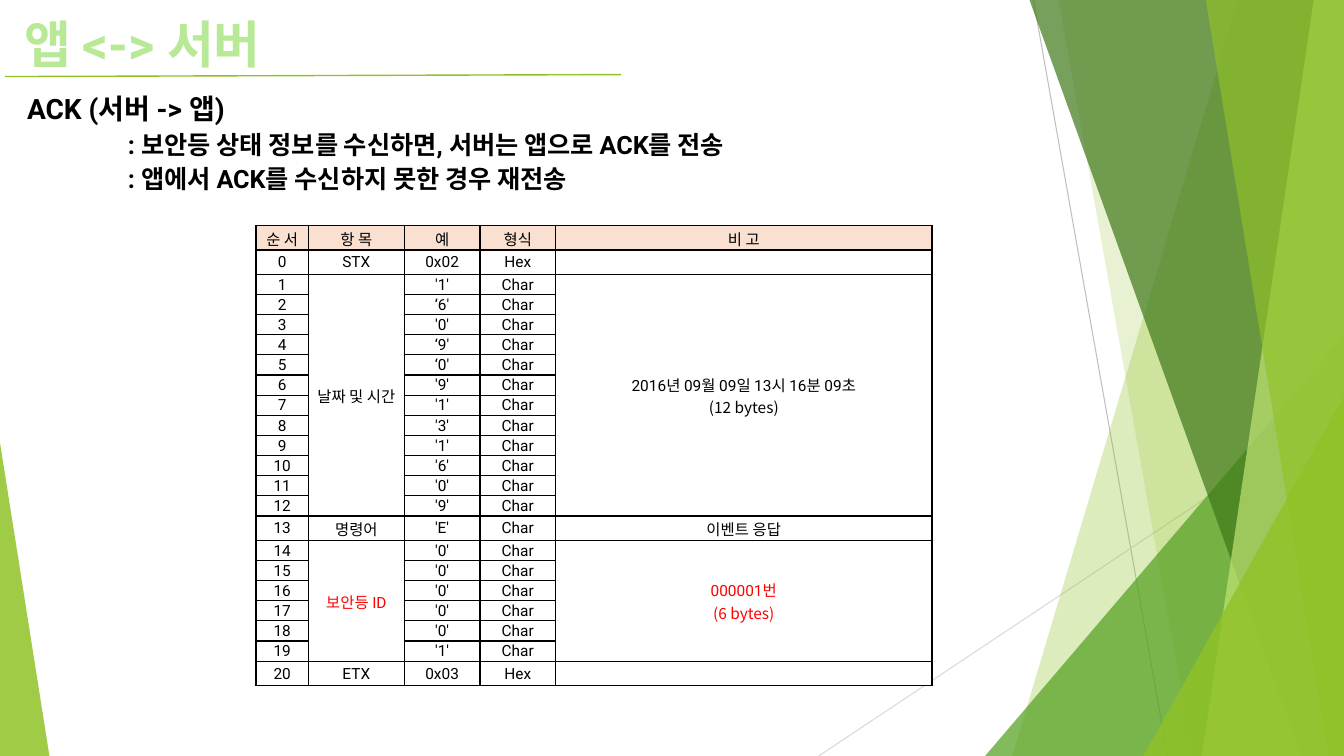
from dataclasses import dataclass

from lxml.etree import SubElement
from pptx import Presentation
from pptx.dml.color import RGBColor
from pptx.enum.shapes import MSO_CONNECTOR, MSO_SHAPE
from pptx.enum.text import MSO_ANCHOR, PP_ALIGN
from pptx.oxml.ns import qn
from pptx.util import Emu, Inches, Pt

BLACK = RGBColor(0x00, 0x00, 0x00)
WHITE = RGBColor(0xFF, 0xFF, 0xFF)
RED = RGBColor(0xFF, 0x00, 0x00)
PEACH = RGBColor(0xFA, 0xE0, 0xD1)
GRAY = RGBColor(0xBF, 0xBF, 0xBF)
PALE_GRAY = RGBColor(0xD9, 0xD9, 0xD9)
LIME = RGBColor(0x90, 0xC2, 0x26)
PALE_LIME = RGBColor(0xC0, 0xE4, 0x74)
GREEN = RGBColor(0x54, 0xA0, 0x21)
DARK_GREEN = RGBColor(0x3F, 0x78, 0x19)
TITLE_GREEN = RGBColor(0xB7, 0xE9, 0x96)

LATIN = "Roboto"
KOREAN = "Noto Sans CJK KR"

COLUMNS = (0.52, 0.95, 0.75, 0.75, 3.73)
TALL_ROWS = {0, 1, 14, 21}
TIME_CHARS = "'1' ‘6' '0' ‘9' ‘0' '9' '1' '3' '1' '6' '0' '9'".split()
ID_CHARS = "'0' '0' '0' '0' '0' '1'".split()


@dataclass
class Box:
    left: int
    top: int
    width: int
    height: int

    def x(self, percent):
        return Emu(round(self.left + self.width * percent / 100))

    def y(self, percent):
        return Emu(round(self.top + self.height * percent / 100))

    def region(self, left, top, width, height):
        return Box(self.x(left), self.y(top),
                   Emu(round(self.width * width / 100)),
                   Emu(round(self.height * height / 100)))

    def bounds(self):
        return self.left, self.top, self.width, self.height


def add_text(para, text, size, color=BLACK, font=LATIN, bold=False):
    span = para.add_run()
    span.text = text
    span.font.size = Pt(size)
    span.font.bold = bold
    span.font.name = font
    span.font.color.rgb = color
    SubElement(span.font._element, qn("a:ea"), typeface=KOREAN)
    return span


def add_line(page, box, start, end, color, width):
    line = page.shapes.add_connector(
        MSO_CONNECTOR.STRAIGHT, box.x(start[0]), box.y(start[1]),
        box.x(end[0]), box.y(end[1]))
    line.line.color.rgb = color
    line.line.width = Pt(width)
    SubElement(line._element.spPr, qn("a:effectLst"))


def paint(shape, color, opacity):
    shape.shadow.inherit = False
    shape.line.fill.background()
    shape.fill.solid()
    shape.fill.fore_color.rgb = color
    tone = shape._element.spPr.find(qn("a:solidFill"))[0]
    SubElement(tone, qn("a:alpha"), val=str(opacity * 1000))


def add_triangle(page, box, apex, color, opacity):
    triangle = page.shapes.add_shape(MSO_SHAPE.ISOSCELES_TRIANGLE, *box.bounds())
    triangle.adjustments[0] = apex
    paint(triangle, color, opacity)


def add_band(page, box, top_x, bottom_x, color, opacity):
    outline = page.shapes.build_freeform(box.x(top_x), box.y(0))
    outline.add_line_segments([(box.x(100), box.y(0)), (box.x(100), box.y(100)),
                               (box.x(bottom_x), box.y(100))])
    paint(outline.convert_to_shape(), color, opacity)


def add_corner(page, box, left, top, color, opacity):
    corner = box.region(left, top, 100 - left, 100 - top)
    add_triangle(page, corner, 1, color, opacity)


def draw_facets(page, box):
    add_line(page, box, (40.88, 0), (66.41, 100), GRAY, 0.75)
    add_line(page, box, (100, 53.73), (0, 100), PALE_GRAY, 0.75)
    facets = (
        (add_band, 79.85, 36.85, LIME, 30),
        (add_band, 45.68, 71.21, LIME, 20),
        (add_corner, 31.67, 44.4, GREEN, 72),
        (add_band, 40.12, 91.94, DARK_GREEN, 70),
        (add_band, 94.24, 72.94, PALE_LIME, 70),
        (add_band, 73.7, 97.12, LIME, 65),
        (add_corner, 61.8, 52.4, LIME, 80),
    )
    for draw, *settings in facets:
        draw(page, box, *settings)


def write_header(page, box):
    add_line(page, box, (-1.17, 89.66), (78.59, 86.21), LIME, 1)
    frame = page.shapes.add_textbox(*box.bounds()).text_frame
    frame.word_wrap = True
    para = frame.paragraphs[0]
    para.line_spacing = 0.7
    span = add_text(para, "앱 <-> 서버", 36.3, TITLE_GREEN, bold=True)
    outline = SubElement(span.font._element, qn("a:ln"), w=str(Pt(1.75)))
    fill = SubElement(outline, qn("a:solidFill"))
    SubElement(fill, qn("a:srgbClr"), val=str(GREEN))
    span.font._element.insert(0, outline)


def write_summary(page, box):
    frame = page.shapes.add_textbox(*box.bounds()).text_frame
    frame.word_wrap = True
    lines = (
        ("ACK (서버 -> 앱)", 2, 1, 20),
        (": 보안등 상태 정보를 수신하면, 서버는 앱으로 ACK를 전송", 4, 2, 18),
        (": 앱에서 ACK를 수신하지 못한 경우 재전송", 4, 2, 18),
    )
    for index, (text, level, indent, size) in enumerate(lines):
        para = frame.add_paragraph() if index else frame.paragraphs[0]
        para.level = level
        para.line_spacing = 0.9
        para.space_before = Pt(5)
        settings = para._p.get_or_add_pPr()
        settings.set("marL", str(Inches(indent)))
        settings.set("indent", "0")
        add_text(para, text, size, bold=True)


def packet_rows():
    chars = TIME_CHARS + ["'E'"] + ID_CHARS
    names = {1: "날짜 및 시간", 13: "명령어", 14: "보안등 ID"}
    notes = {1: "2016년 09월 09일 13시 16분 09초\n(12 bytes)",
             13: "이벤트 응답", 14: "000001번\n(6 bytes)"}
    body = [(str(order), names.get(order, ""), char, "Char", notes.get(order, ""))
            for order, char in enumerate(chars, 1)]
    return [("순 서", "항 목", "예", "형식", "비 고"),
            ("0", "STX", "0x02", "Hex", ""), *body,
            ("20", "ETX", "0x03", "Hex", "")]


def fill_cell(cell, text, fill, color):
    cell.margin_left = cell.margin_right = cell.margin_top = Inches(0.01)
    cell.margin_bottom = 0
    cell.vertical_anchor = MSO_ANCHOR.MIDDLE
    settings = cell._tc.get_or_add_tcPr()
    for side in ("lnL", "lnR", "lnT", "lnB"):
        border = SubElement(settings, qn(f"a:{side}"), w=str(Pt(1)))
        SubElement(SubElement(border, qn("a:solidFill")),
                   qn("a:srgbClr"), val=str(BLACK))
    cell.fill.solid()
    cell.fill.fore_color.rgb = fill
    for index, line in enumerate(text.split("\n")):
        para = cell.text_frame.add_paragraph() if index else cell.text_frame.paragraphs[0]
        para.alignment = PP_ALIGN.CENTER
        if line:
            add_text(para, line, 11, color, KOREAN if index else LATIN)
        else:
            SubElement(para._p, qn("a:endParaRPr"), sz="1100")


def draw_packet_table(page, box):
    rows = packet_rows()
    table = page.shapes.add_table(len(rows), len(COLUMNS), *box.bounds()).table
    table.first_row = table.horz_banding = False
    for column, share in zip(table.columns, COLUMNS):
        column.width = round(box.width * share / sum(COLUMNS))
    for index, row in enumerate(rows):
        table.rows[index].height = Inches(0.24 if index in TALL_ROWS else 0.2)
        for column, text in enumerate(row):
            red = index == 15 and column in (1, 4)
            fill_cell(table.cell(index, column), text,
                      WHITE if index else PEACH, RED if red else BLACK)
    for column in (1, 4):
        for first, last in ((2, 13), (15, 20)):
            table.cell(first, column).merge(table.cell(last, column))


def main():
    deck = Presentation()
    deck.slide_width, deck.slide_height = Inches(13.33), Inches(7.5)
    page = deck.slides.add_slide(deck.slide_layouts[6])
    slide = Box(0, 0, deck.slide_width, deck.slide_height)
    draw_facets(page, slide.region(60.92, 0, 39.08, 100))
    add_triangle(page, slide.region(0, 58.53, 3.68, 41.47), 0, LIME, 85)
    write_summary(page, slide.region(-6.23, 12, 72.47, 15.73))
    draw_packet_table(page, slide.region(19.05, 29.87, 50.3, 60.8))
    write_header(page, slide.region(1.05, 3.2, 57.46, 7.73))
    deck.save("out.pptx")


if __name__ == "__main__":
    main()
